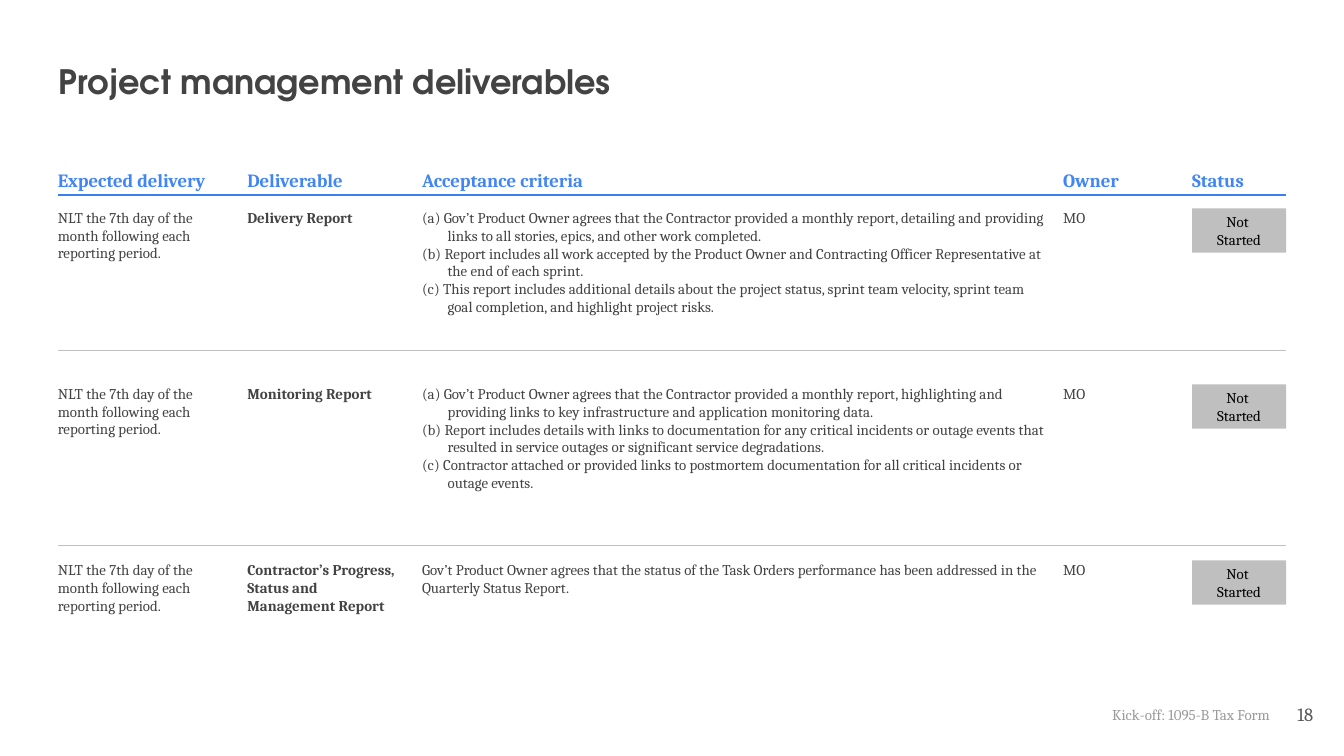
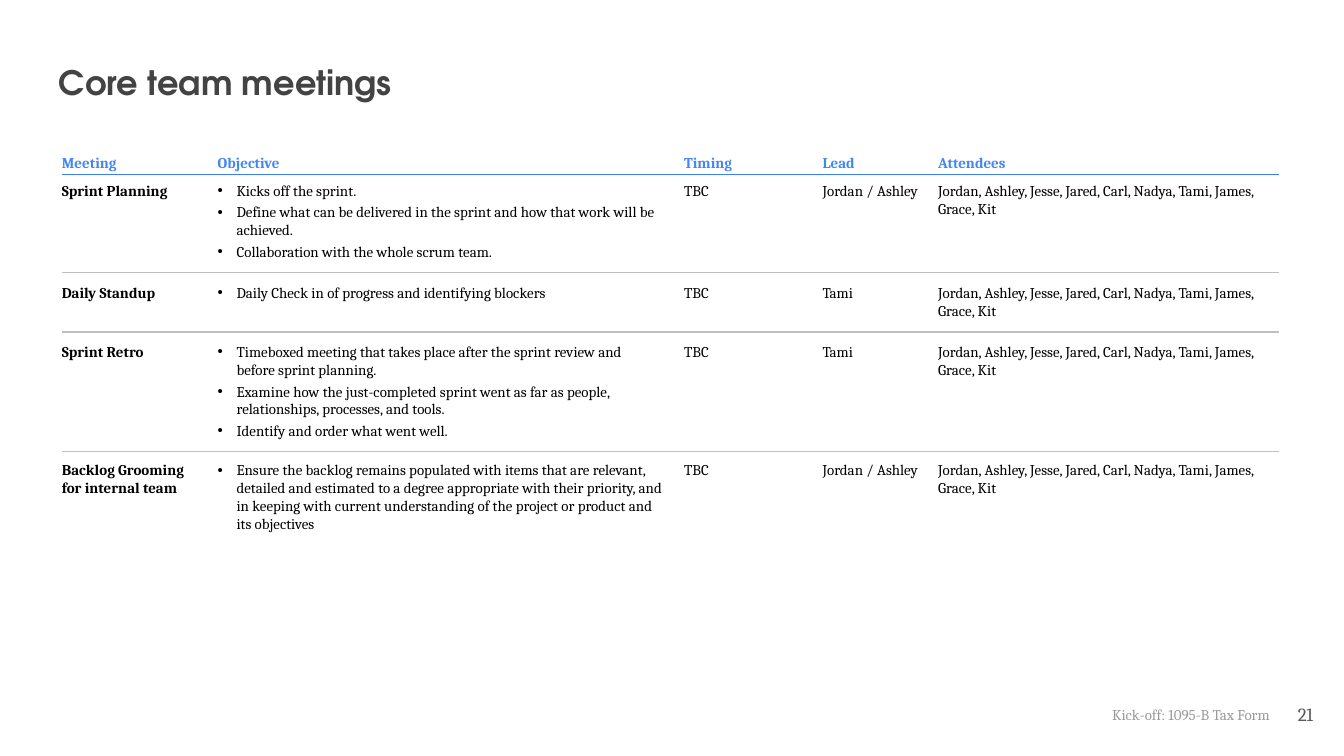
"""Builds the project deliverables and core team meetings slides."""
from collections import namedtuple

from pptx import Presentation
from pptx import util as u
from pptx.dml.color import RGBColor
from pptx.enum import shapes, text
from pptx.oxml import ns
from lxml import etree

HEADING = RGBColor(0x42, 0x85, 0xF4)
RULE_BLUE = RGBColor(0x3B, 0x7F, 0xF2)
RULE_GREY = RGBColor(0xBF, 0xBF, 0xBF)
DARK = RGBColor(0x43, 0x43, 0x43)
NUMBER_GREY = RGBColor(0x59, 0x59, 0x59)
FOOTER_GREY = RGBColor(0x9B, 0x9B, 0x9B)
BLACK = RGBColor(0, 0, 0)
WHITE = RGBColor(0xFF, 0xFF, 0xFF)

BODY_FONT = "Cambria"
TITLE_FONT = "TeX Gyre Adventor"
LINE_PER_POINT = 0.17 / 10
BULLET_GAP = 2

Box = namedtuple("Box", "left top width height")
Column = namedtuple("Column", "heading offset width")
Cell = namedtuple("Cell", "paragraphs lines")
Row = namedtuple("Row", "top cells")
Grid = namedtuple("Grid", "columns rows rules heading_size ink list_indent bulleted")

DELIVERABLE_COLUMNS = [
    Column("Expected delivery", 0, 1.29),
    Column("Deliverable", 1.41, 1.18),
    Column("Acceptance criteria", 2.71, 4.65),
    Column("Owner", 7.48, 0.83),
    Column("Status", 8.44, 0.7),
]
MEETING_COLUMNS = [
    Column("Meeting", 0, 1.02),
    Column("Objective", 1.16, 3.32),
    Column("Timing", 4.63, 0.88),
    Column("Lead", 5.66, 0.72),
    Column("Attendees", 6.52, 2.55),
]


def deliverable(top, name, name_lines, criteria, criteria_lines):
    """Return one deliverable row with its shared due date and owner."""
    due = "NLT the 7th day of the month following each reporting period."
    return Row(top, [Cell([due], 3), Cell([name], name_lines),
                     Cell(criteria, criteria_lines), Cell(["MO"], 1)])


def meeting(top, name, name_lines, objectives, objective_lines, lead, lead_lines):
    """Return one meeting row with its shared timing and attendees."""
    attendees = "Jordan, Ashley, Jesse, Jared, Carl, Nadya, Tami, James, Grace, Kit"
    return Row(top, [Cell([name], name_lines), Cell(objectives, objective_lines),
                     Cell(["TBC"], 1), Cell([lead], lead_lines), Cell([attendees], 2)])


DELIVERABLES = Grid(
    columns=DELIVERABLE_COLUMNS,
    rows=[
        deliverable(0.3, "Delivery Report", 1, [
            "(a) Gov’t Product Owner agrees that the Contractor provided a monthly report, "
            "detailing and providing links to all stories, epics, and other work completed.",
            "(b) Report includes all work accepted by the Product Owner and Contracting "
            "Officer Representative at the end of each sprint.",
            "(c) This report includes additional details about the project status, sprint team "
            "velocity, sprint team goal completion, and highlight project risks.",
        ], 6),
        deliverable(1.61, "Monitoring Report", 1, [
            "(a) Gov’t Product Owner agrees that the Contractor provided a monthly report, "
            "highlighting and providing links to key infrastructure and application "
            "monitoring data.",
            "(b) Report includes details with links to documentation for any critical incidents "
            "or outage events that resulted in service outages or significant service "
            "degradations.",
            "(c) Contractor attached or provided links to postmortem documentation for all "
            "critical incidents or outage events.",
        ], 6),
        deliverable(2.92, "Contractor’s Progress, Status and Management Report", 3, [
            "Gov’t Product Owner agrees that the status of the Task Orders performance has "
            "been addressed in the Quarterly Status Report.",
        ], 2),
    ],
    rules=[0.2, 1.36, 2.81], heading_size=10, ink=DARK, list_indent=0.19, bulleted=False)

MEETINGS = Grid(
    columns=MEETING_COLUMNS,
    rows=[
        meeting(0.21, "Sprint Planning", 1, [
            "Kicks off the sprint.",
            "Define what can be delivered in the sprint and how that work will be achieved.",
            "Collaboration with the whole scrum team.",
        ], 4, "Jordan / Ashley", 2),
        meeting(0.97, "Daily Standup", 1, [
            "Daily Check in of progress and identifying blockers",
        ], 1, "Tami", 1),
        meeting(1.41, "Sprint Retro", 1, [
            "Timeboxed meeting that takes place after the sprint review and before sprint "
            "planning.",
            "Examine how the just-completed sprint went as far as people, relationships, "
            "processes, and tools.",
            "Identify and order what went well.",
        ], 5, "Tami", 1),
        meeting(2.29, "Backlog Grooming for internal team", 2, [
            "Ensure the backlog remains populated with items that are relevant, detailed and "
            "estimated to a degree appropriate with their priority, and in keeping with current "
            "understanding of the project or product and its objectives",
        ], 4, "Jordan / Ashley", 2),
    ],
    rules=[0.16, 0.89, 1.33, 2.22], heading_size=8, ink=BLACK, list_indent=0.14, bulleted=True)


def apply(target, values):
    """Set each named format value on the target."""
    for name, value in values.items():
        setattr(target, name, value)


def indent_list(paragraph, indent, bulleted):
    """Give a paragraph a hanging indent and, if asked, a bullet."""
    properties = paragraph._p.get_or_add_pPr()
    properties.set("marL", str(u.Inches(indent)))
    properties.set("indent", str(-u.Inches(indent)))
    if bulleted:
        paragraph.level = 1
        colour = etree.SubElement(properties, ns.qn("a:buClr"))
        etree.SubElement(colour, ns.qn("a:srgbClr"), val=str(BLACK))
        etree.SubElement(properties, ns.qn("a:buFont"), typeface="Arial")
        etree.SubElement(properties, ns.qn("a:buChar"), char="•")


def write(slide, box, paragraphs, size, colour, bold=False, font=BODY_FONT, fill=None,
          align=text.PP_ALIGN.LEFT, anchor=text.MSO_ANCHOR.TOP, inset=0, grow=False,
          list_indent=0, bulleted=False):
    """Place paragraphs in a box, filled when a fill is given."""
    place = [u.Inches(length) for length in box]
    if fill is None:
        holder = slide.shapes.add_textbox(*place)
    else:
        holder = slide.shapes.add_shape(shapes.MSO_SHAPE.RECTANGLE, *place)
        holder.shadow.inherit = False
        holder.fill.solid()
        holder.fill.fore_color.rgb = fill
        holder.line.fill.background()
    frame = holder.text_frame
    margin = u.Inches(inset)
    apply(frame, {
        "word_wrap": True, "vertical_anchor": anchor,
        "auto_size": text.MSO_AUTO_SIZE.SHAPE_TO_FIT_TEXT if grow else text.MSO_AUTO_SIZE.NONE,
        "margin_left": margin, "margin_top": margin,
        "margin_right": margin, "margin_bottom": margin,
    })
    for index, words in enumerate(paragraphs):
        paragraph = frame.add_paragraph() if index else frame.paragraphs[0]
        if list_indent:
            indent_list(paragraph, list_indent, bulleted)
        paragraph.text = words
        paragraph.alignment = align
        if index and bulleted:
            paragraph.space_before = u.Pt(BULLET_GAP)
        for run in paragraph.runs:
            apply(run.font, {"name": font, "size": u.Pt(size), "bold": bold})
            run.font.color.rgb = colour


def draw_rule(slide, box, offset, colour):
    """Draw a rule across the box at an offset from its top."""
    y = u.Inches(box.top + offset)
    rule = slide.shapes.add_connector(shapes.MSO_CONNECTOR.STRAIGHT, u.Inches(box.left), y,
                                      u.Inches(box.left + box.width), y)
    rule.line.color.rgb = colour
    rule.line.width = u.Pt(0.75)
    etree.SubElement(rule._element.spPr, ns.qn("a:effectLst"))


def draw_grid(slide, box, grid, bold_column):
    """Draw the headings, cells and rules of a grid in a box."""
    for column in grid.columns:
        heading_box = Box(box.left + column.offset, box.top, column.width,
                          grid.heading_size * LINE_PER_POINT)
        write(slide, heading_box, [column.heading], grid.heading_size, HEADING, bold=True,
              anchor=text.MSO_ANCHOR.BOTTOM, grow=True)
    for row in grid.rows:
        for index, (column, cell) in enumerate(zip(grid.columns, row.cells)):
            is_list = column.heading == "Objective" or len(cell.paragraphs) > 1
            gaps = (len(cell.paragraphs) - 1) * BULLET_GAP / 72 if grid.bulleted else 0
            cell_box = Box(box.left + column.offset, box.top + row.top, column.width,
                           cell.lines * 8 * LINE_PER_POINT + gaps)
            write(slide, cell_box, cell.paragraphs, 8, grid.ink, bold=index == bold_column,
                  fill=WHITE, grow=True, list_indent=grid.list_indent if is_list else 0,
                  bulleted=grid.bulleted and is_list)
    for index, offset in enumerate(grid.rules):
        draw_rule(slide, box, offset, RULE_GREY if index else RULE_BLUE)


def draw_statuses(slide, box, grid):
    """Put a status tag in the last column of each row."""
    status = grid.columns[-1]
    for row in grid.rows:
        tag_box = Box(box.left + status.offset, box.top + row.top, status.width, 0.33)
        write(slide, tag_box, ["Not \nStarted"], 8, BLACK, fill=RULE_GREY,
              align=text.PP_ALIGN.CENTER, anchor=text.MSO_ANCHOR.MIDDLE)


def add_framed_slide(deck, title, title_box, number):
    """Add a blank slide with its title, footer and page number."""
    slide = deck.slides.add_slide(deck.slide_layouts[6])
    write(slide, title_box, [title], 18, DARK, bold=True, font=TITLE_FONT, inset=0.1)
    write(slide, Box(8.02, 5.15, 1.53, 0.39), ["Kick-off: 1095-B Tax Form"], 8, FOOTER_GREY,
          align=text.PP_ALIGN.RIGHT, inset=0.1)
    write(slide, Box(9.27, 5.1, 0.6, 0.43), [number], 10, NUMBER_GREY,
          align=text.PP_ALIGN.RIGHT, anchor=text.MSO_ANCHOR.MIDDLE, inset=0.1)
    return slide


def build_deliverables(deck):
    """Build the project management deliverables slide."""
    slide = add_framed_slide(deck, "Project management deliverables",
                             Box(0.34, 0.35, 9.32, 0.63), "18")
    box = Box(0.43, 1.25, 9.14, 3.32)
    draw_grid(slide, box, DELIVERABLES, bold_column=1)
    draw_statuses(slide, box, DELIVERABLES)


def build_meetings(deck):
    """Build the core team meetings slide."""
    slide = add_framed_slide(deck, "Core team meetings", Box(0.34, 0.36, 9.32, 0.5), "21")
    draw_grid(slide, Box(0.46, 1.14, 9.06, 2.83), MEETINGS, bold_column=0)


def main():
    """Build and save the deck."""
    deck = Presentation()
    width = u.Inches(10)
    apply(deck, {"slide_width": width, "slide_height": width * 9 // 16})
    build_deliverables(deck)
    build_meetings(deck)
    deck.save("out.pptx")


if __name__ == "__main__":
    main()
